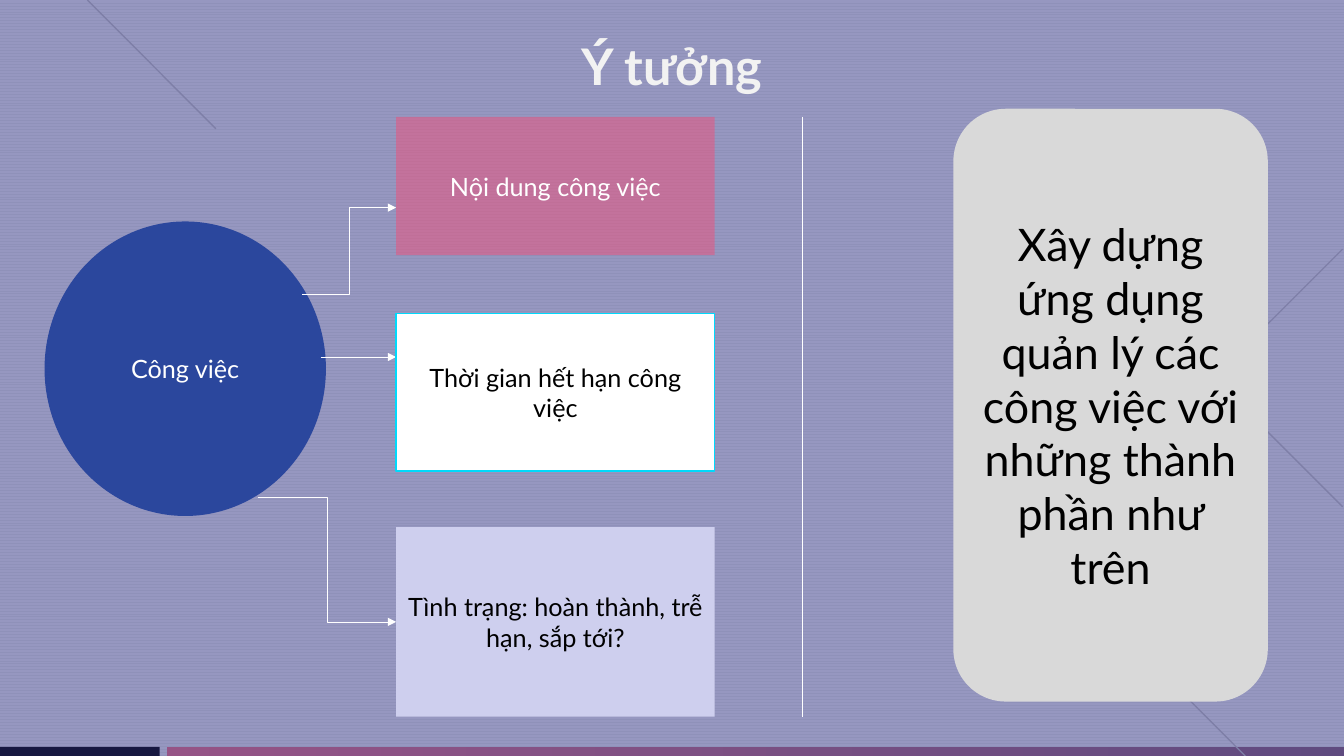
"""Build the idea slide: a task, its three parts and the app that manages them."""
from pptx import Presentation
from pptx.dml.color import RGBColor
from pptx.enum.dml import MSO_PATTERN
from pptx.enum.shapes import MSO_CONNECTOR, MSO_SHAPE
from pptx.enum.text import MSO_ANCHOR, MSO_AUTO_SIZE, PP_ALIGN
from pptx.oxml.ns import qn
from pptx.util import Pt
from lxml import etree

RECT, OVAL, ROUND = MSO_SHAPE.RECTANGLE, MSO_SHAPE.OVAL, MSO_SHAPE.ROUNDED_RECTANGLE
STRAIGHT, ELBOW = MSO_CONNECTOR.STRAIGHT, MSO_CONNECTOR.ELBOW
ZIGZAG = MSO_PATTERN.ZIG_ZAG
CENTER, MIDDLE = PP_ALIGN.CENTER, MSO_ANCHOR.MIDDLE
NO_AUTOFIT = MSO_AUTO_SIZE.NONE

THEME = {
    "font": "Lato",
    "title_size": 36, "card_size": 32, "label_size": 18,
    "title": "F2F2F2", "light": "FFFFFF", "dark": "000000",
    "pattern": "F2F2F2", "paper": "FFFFFF", "veil": "2E3182",
    "bar_start": "FF788B", "bar_end": "92667D", "stub": "000000", "decor": "D0CECE",
    "task": "2B479D", "content": "F14E79", "deadline": "FFFFFF",
    "deadline_edge": "00D9FB", "status": "CECFEE", "card": "D9D9D9",
    "rule_width": 0.5, "edge_width": 1,
}

SLIDE_W, SLIDE_H = 960, 540
TITLE = "Ý tưởng"
TITLE_BOX = (79, 25, 802, 44)
TASK = ("Công việc", (31.8, 158.2, 201, 210.4))
PARTS = [
    {"label": "Nội dung công việc", "top": 83.5, "height": 98.8, "fill": "content",
     "ink": "light", "opacity": 50, "start": (216, 210.4), "entry": 148.3, "bend": ELBOW},
    {"label": "Thời gian hết hạn công việc", "top": 224, "height": 112.6,
     "fill": "deadline", "ink": "dark", "edge": "deadline_edge",
     "start": (229, 255), "entry": 255, "bend": STRAIGHT},
    {"label": "Tình trạng: hoàn thành, trễ hạn, sắp tới?", "top": 376.5, "height": 135.5,
     "fill": "status", "ink": "dark",
     "start": (184, 355), "entry": 444.2, "bend": ELBOW},
]
PART_LEFT, PART_W = 283, 227.5
DIVIDER_X = 573
CARD = ("Xây dựng ứng dụng quản lý các công việc với những thành phần như trên",
        (681, 77.7, 224.6, 423.4))
BAR_H, STUB_W, BAR_LEFT = 6.5, 114, 119
DIAGONALS = [((800, 450.5), (889.5, 540)), ((62.5, 0), (154.2, 92))]
CHEVRON = [(959, 178), (867, 270), (959, 362)]


def color(name):
    return RGBColor.from_string(THEME[name])


def write(shape, words, ink, size, bold=False):
    frame = shape.text_frame
    for key, value in {"text": words, "word_wrap": True, "vertical_anchor": MIDDLE}.items():
        setattr(frame, key, value)
    paragraph = frame.paragraphs[0]
    paragraph.alignment = CENTER
    font = paragraph.runs[0].font
    look = {"name": THEME["font"], "size": Pt(THEME[size]), "bold": bold}
    for key, value in look.items():
        setattr(font, key, value)
    font.color.rgb = color(ink)


def add_block(slide, kind, box, fill, edge=None, opacity=100):
    block = slide.shapes.add_shape(kind, *map(Pt, box))
    block.shadow.inherit = False
    block.fill.solid()
    block.fill.fore_color.rgb = color(fill)
    if opacity < 100:
        tint = block.element.spPr.find(".//" + qn("a:srgbClr"))
        etree.SubElement(tint, qn("a:alpha"), val=str(opacity * 1000))
    if edge:
        block.line.color.rgb = color(edge)
        block.line.width = Pt(THEME["edge_width"])
    else:
        block.line.fill.background()
    return block


def add_rule(slide, start, end, ink="light", width="rule_width", bend=STRAIGHT, arrow=False):
    rule = slide.shapes.add_connector(bend, *map(Pt, start + end))
    rule.line.color.rgb = color(ink)
    rule.line.width = Pt(THEME[width])
    if arrow:
        etree.SubElement(rule.line.fill._xPr, qn("a:tailEnd"), type="triangle")
    etree.SubElement(rule.element.spPr, qn("a:effectLst"))


def add_backdrop(slide):
    paper = slide.background.fill
    paper.patterned()
    paper.pattern = ZIGZAG
    paper.fore_color.rgb = color("pattern")
    paper.back_color.rgb = color("paper")

    bar_top = SLIDE_H - BAR_H
    bar = add_block(slide, RECT, (BAR_LEFT, bar_top, SLIDE_W - BAR_LEFT, BAR_H), "bar_start")
    bar.fill.gradient()
    bar.fill.gradient_angle = 0
    for stop, name in zip(bar.fill.gradient_stops, ("bar_start", "bar_end")):
        stop.color.rgb = color(name)
    add_block(slide, RECT, (0, bar_top, STUB_W, BAR_H), "stub")

    for start, end in DIAGONALS:
        add_rule(slide, start, end, "decor", "edge_width")
    first, *others = [tuple(map(Pt, point)) for point in CHEVRON]
    outline = slide.shapes.build_freeform(*first)
    outline.add_line_segments(others, close=False)
    chevron = outline.convert_to_shape()
    chevron.shadow.inherit = False
    chevron.fill.background()
    chevron.line.color.rgb = color("decor")
    chevron.line.width = Pt(THEME["edge_width"])
    return add_block(slide, RECT, (0, 0, SLIDE_W, SLIDE_H), "veil", opacity=50)


def add_title(slide, veil):
    title = slide.shapes.title
    for key, value in zip(("left", "top", "width", "height"), TITLE_BOX):
        setattr(title, key, Pt(value))
    for side in ("left", "top", "right", "bottom"):
        setattr(title.text_frame, "margin_" + side, 0)
    title.text_frame.auto_size = NO_AUTOFIT
    write(title, TITLE, "title", "title_size", bold=True)
    veil.element.addnext(title.element)


def add_diagram(slide):
    label, box = TASK
    write(add_block(slide, OVAL, box, "task"), label, "light", "label_size")
    for part in PARTS:
        add_rule(slide, part["start"], (PART_LEFT, part["entry"]),
                 bend=part["bend"], arrow=True)
        block = add_block(slide, RECT, (PART_LEFT, part["top"], PART_W, part["height"]),
                          part["fill"], part.get("edge"), part.get("opacity", 100))
        write(block, part["label"], part["ink"], "label_size")
    bottom = PARTS[-1]["top"] + PARTS[-1]["height"]
    add_rule(slide, (DIVIDER_X, PARTS[0]["top"]), (DIVIDER_X, bottom))
    summary, box = CARD
    write(add_block(slide, ROUND, box, "card"), summary, "dark", "card_size")


def main():
    deck = Presentation()
    deck.slide_width, deck.slide_height = Pt(SLIDE_W), Pt(SLIDE_H)
    slide = deck.slides.add_slide(deck.slide_layouts[5])
    add_title(slide, add_backdrop(slide))
    add_diagram(slide)
    deck.save("out.pptx")


if __name__ == "__main__":
    main()
